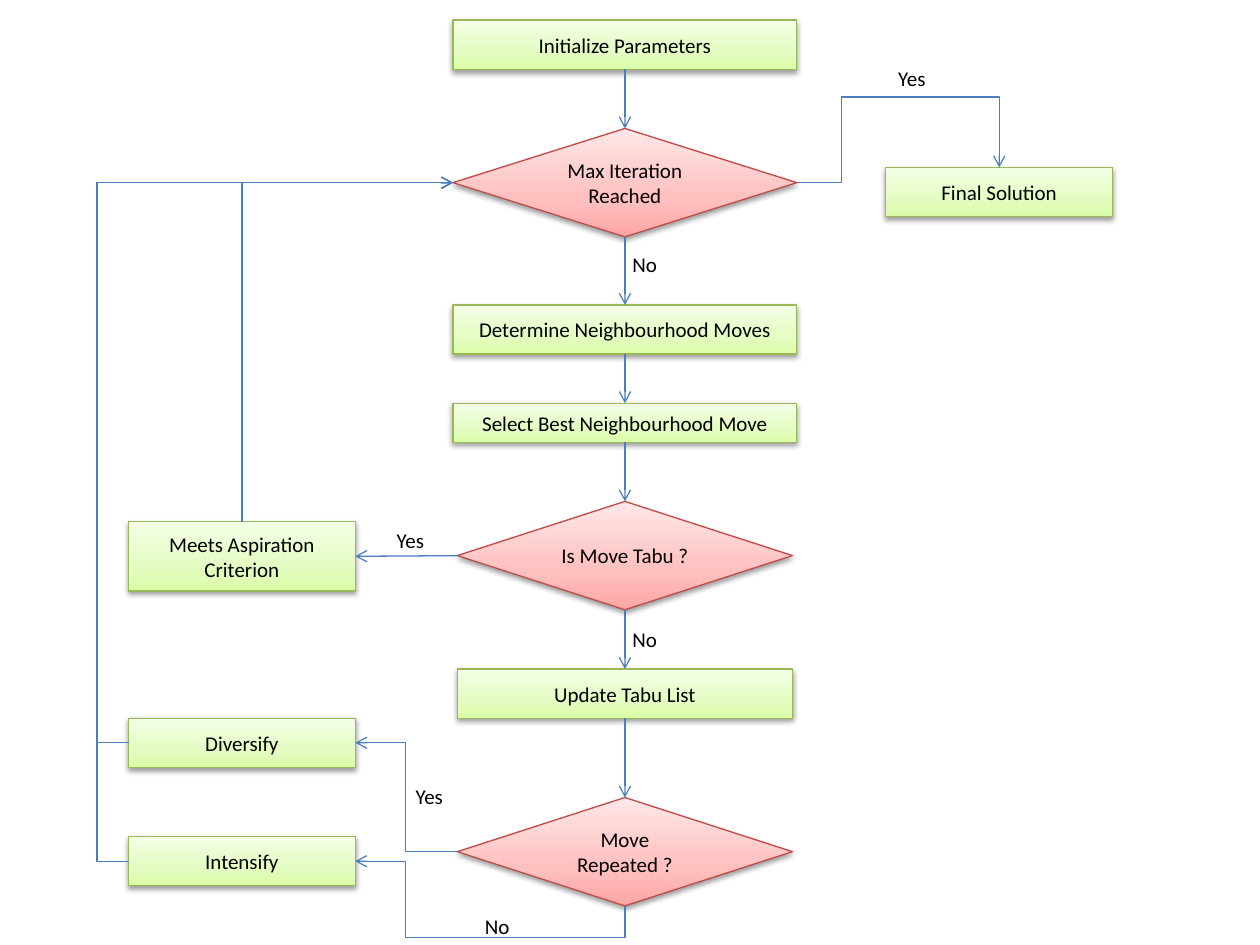
from lxml.etree import SubElement
from pptx import Presentation
from pptx.dml.color import RGBColor
from pptx.enum.shapes import MSO_CONNECTOR, MSO_SHAPE
from pptx.enum.text import MSO_ANCHOR, MSO_AUTO_SIZE, PP_ALIGN
from pptx.oxml.ns import qn
from pptx.util import Inches, Pt

BLACK = RGBColor(0, 0, 0)
ARROW_BLUE = RGBColor(0x4B, 0x7E, 0xBC)
FONT = {"name": "Calibri", "size": Pt(12)}

GREEN = [RGBColor(0xDA, 0xFD, 0xA7), RGBColor(0xE4, 0xFC, 0xC2), RGBColor(0xF5, 0xFF, 0xE7)]
RED = [RGBColor(0xFF, 0xA6, 0xA5), RGBColor(0xFF, 0xC0, 0xBF), RGBColor(0xFF, 0xE7, 0xE7)]
STOPS = [0, 35, 100]
KINDS = {
    "step": (MSO_SHAPE.RECTANGLE, GREEN, RGBColor(0x98, 0xB9, 0x55)),
    "decision": (MSO_SHAPE.FLOWCHART_DECISION, RED, RGBColor(0xBF, 0x4C, 0x48)),
}

# Column: centre, width
COLUMNS = {"main": (4.96, 2.73), "lower": (4.96, 2.66),
           "left": (1.92, 1.8), "right": (7.93, 1.8)}

# Key: text, kind, column, top, height
STEPS = {
    "start": ("Initialize Parameters", "step", "main", 0.16, 0.39),
    "limit": ("Max Iteration Reached", "decision", "main", 1.02, 0.86),
    "moves": ("Determine Neighbourhood Moves", "step", "main", 2.42, 0.39),
    "best": ("Select Best Neighbourhood Move", "step", "main", 3.2, 0.31),
    "tabu": ("Is Move Tabu ?", "decision", "lower", 3.98, 0.86),
    "update": ("Update Tabu List", "step", "lower", 5.31, 0.39),
    "repeated": ("Move Repeated ?", "decision", "lower", 6.33, 0.86),
    "aspiration": ("Meets Aspiration Criterion", "step", "left", 4.14, 0.55),
    "diversify": ("Diversify", "step", "left", 5.7, 0.39),
    "intensify": ("Intensify", "step", "left", 6.64, 0.39),
    "final": ("Final Solution", "step", "right", 1.33, 0.39),
}
MAIN_FLOW = ["start", "limit", "moves", "best", "tabu", "update", "repeated"]

TOP, LEFT, BOTTOM, RIGHT = range(4)
HEADING = {TOP: 90, LEFT: 180, BOTTOM: 90, RIGHT: 0}

# From, side, to, side, lanes the elbow runs along (x and y in turn)
ELBOWS = [
    ("limit", RIGHT, "final", TOP, [6.68, 0.77]),
    ("repeated", BOTTOM, "intensify", RIGHT, [7.44, 3.22]),
    ("repeated", LEFT, "diversify", RIGHT, [3.22]),
    ("diversify", LEFT, "limit", LEFT, [0.77]),
    ("aspiration", TOP, "limit", LEFT, []),
    ("intensify", LEFT, "limit", LEFT, [0.77]),
]

ANSWERS = [("Yes", 7.03, 0.47), ("No", 4.92, 1.95), ("Yes", 3.05, 4.14),
           ("No", 4.92, 4.92), ("Yes", 3.2, 6.17), ("No", 3.75, 7.2)]


def write(frame, text, align, **layout):
    """Put one formatted line of text in a frame."""
    for name, value in layout.items():
        setattr(frame, name, value)
    paragraph = frame.paragraphs[0]
    paragraph.alignment = align
    run = paragraph.add_run()
    run.text = text
    for name, value in FONT.items():
        setattr(run.font, name, value)
    run.font.color.rgb = BLACK


def add_gradient(shape, colours):
    """Fill a shape from its bottom edge to its top edge."""
    shape.fill.gradient()
    shape.fill.gradient_angle = 90
    stops = shape.element.spPr.find(qn("a:gradFill")).find(qn("a:gsLst"))
    for old in list(stops):
        stops.remove(old)
    for place, colour in zip(STOPS, colours):
        stop = SubElement(stops, qn("a:gs"), pos=str(place * 1000))
        SubElement(stop, qn("a:srgbClr"), val=str(colour))


def add_shadow(shape):
    """Drop a soft shadow straight down."""
    shape.shadow.inherit = False
    effects = shape.element.spPr.find(qn("a:effectLst"))
    shadow = SubElement(effects, qn("a:outerShdw"), blurRad=str(Pt(3.1)),
                        dist=str(Pt(1.6)), dir="5400000", rotWithShape="0")
    colour = SubElement(shadow, qn("a:srgbClr"), val=str(BLACK))
    SubElement(colour, qn("a:alpha"), val="38000")


def add_step(shapes, text, kind, column, top, height):
    """Draw one box or diamond of the flow."""
    preset, colours, edge = KINDS[kind]
    centre, width = COLUMNS[column]
    step = shapes.add_shape(preset, Inches(centre - width / 2), Inches(top),
                            Inches(width), Inches(height))
    add_gradient(step, colours)
    step.line.color.rgb = edge
    step.line.width = Pt(0.75)
    add_shadow(step)
    write(step.text_frame, text, PP_ALIGN.CENTER, word_wrap=True,
          vertical_anchor=MSO_ANCHOR.MIDDLE)
    return step


def add_arrow(shapes, kind, source, side, target, target_side):
    """Join two steps with an arrow."""
    arrow = shapes.add_connector(kind, 0, 0, 0, 0)
    arrow.begin_connect(source, side)
    arrow.end_connect(target, target_side)
    arrow.line.color.rgb = ARROW_BLUE
    arrow.line.width = Pt(0.75)
    SubElement(arrow.line._get_or_add_ln(), qn("a:tailEnd"), type="arrow")
    SubElement(arrow.element.spPr, qn("a:effectLst"))
    return arrow


def route(arrow, heading, lanes):
    """Turn an elbow so that it leaves along its heading and follows the lanes."""
    start = (arrow.begin_x, arrow.begin_y)
    end = (arrow.end_x, arrow.end_y)
    dx, dy = end[0] - start[0], end[1] - start[1]
    along, across = {0: (dx, dy), 90: (dy, -dx), 180: (-dx, -dy)}[heading]
    width, height = abs(along), abs(across)
    frame = {"left": (start[0] + end[0] - width) // 2,
             "top": (start[1] + end[1] - height) // 2,
             "width": width, "height": height, "rotation": heading}
    for name, value in frame.items():
        setattr(arrow, name, value)
    properties = arrow.element.spPr
    transform = properties.find(qn("a:xfrm"))
    for name, length in (("flipH", along), ("flipV", across)):
        transform.set(name, "1" if length < 0 else "0")

    geometry = properties.find(qn("a:prstGeom"))
    geometry.set("prst", f"bentConnector{len(lanes) + 2}")
    guides = geometry.find(qn("a:avLst"))
    first_axis = 1 if heading == 90 else 0
    for number, lane in enumerate(lanes):
        axis = (first_axis + number) % 2
        share = (Inches(lane) - start[axis]) / (end[axis] - start[axis])
        SubElement(guides, qn("a:gd"), name=f"adj{number + 1}",
                   fmla=f"val {round(share * 100000)}")


def build():
    """Build the flowchart slide."""
    deck = Presentation()
    deck.slide_width, deck.slide_height = Inches(10), Inches(7.5)
    shapes = deck.slides.add_slide(deck.slide_layouts[6]).shapes

    steps = {key: add_step(shapes, *values) for key, values in STEPS.items()}
    straight = [(a, BOTTOM, b, TOP) for a, b in zip(MAIN_FLOW, MAIN_FLOW[1:])]
    straight.append(("tabu", LEFT, "aspiration", RIGHT))
    for source, side, target, target_side in straight:
        add_arrow(shapes, MSO_CONNECTOR.STRAIGHT, steps[source], side,
                  steps[target], target_side)
    for source, side, target, target_side, lanes in ELBOWS:
        arrow = add_arrow(shapes, MSO_CONNECTOR.ELBOW, steps[source], side,
                          steps[target], target_side)
        route(arrow, HEADING[side], lanes)

    for text, left, top in ANSWERS:
        answer = shapes.add_textbox(Inches(left), Inches(top), Inches(0.42), Inches(0.3))
        write(answer.text_frame, text, PP_ALIGN.LEFT, word_wrap=False,
              auto_size=MSO_AUTO_SIZE.SHAPE_TO_FIT_TEXT)
    deck.save("out.pptx")


build()
